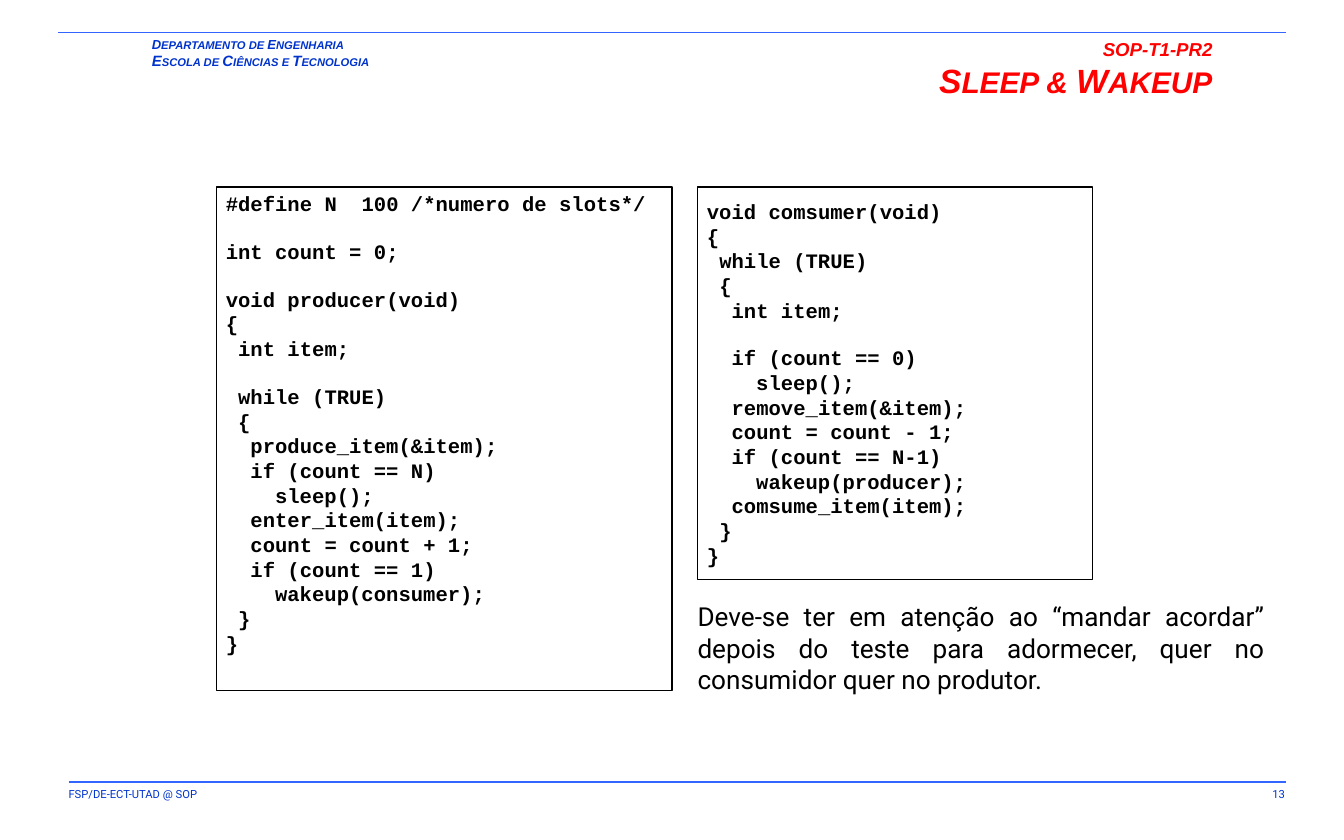
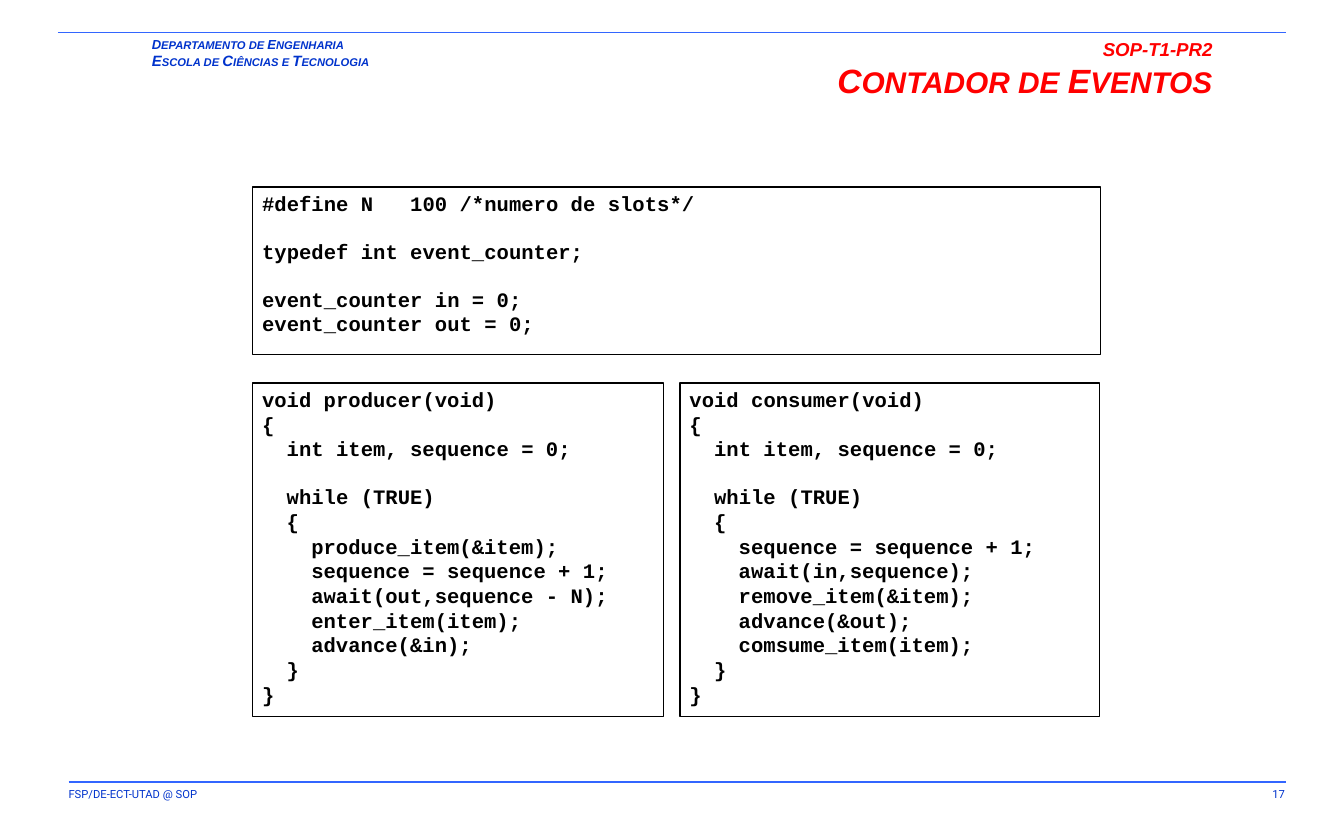
"""Two slides on process synchronisation: sleep and wakeup, and event counters."""
from dataclasses import dataclass
from itertools import groupby

from lxml.etree import SubElement
from pptx import Presentation
from pptx.dml.color import RGBColor
from pptx.enum.shapes import MSO_CONNECTOR as Connector, MSO_SHAPE as Shape
from pptx.enum.text import MSO_ANCHOR as Anchor, PP_ALIGN as Align
from pptx.oxml.ns import qn
from pptx.util import Pt

SCALE = 9144
BLUE, LINE_BLUE, RED, BLACK = "0033CC", "3366FF", "FF0000", "000000"
SANS, BODY, MONO = "Arial", "Roboto", "Courier New"
LINE_WIDTH = 0.75
CODE_SIZE = 11
CODE_LINE = 12.46
CODE_CHARACTER = 6.6
WIDE_INSET, NARROW_INSET = (8, 4), (7, 3)


@dataclass(frozen=True)
class Box:
    left: int
    top: int
    width: int
    height: int


@dataclass(frozen=True)
class Rule:
    left: int
    right: int
    y: int


@dataclass(frozen=True)
class CodePanel:
    box: Box
    code: str
    anchor: Anchor = Anchor.TOP


@dataclass(frozen=True)
class Page:
    number: int
    title: str
    panels: tuple[CodePanel, ...]
    note: str = ""


RULES = (Rule(43, 957, 24), Rule(51, 957, 582))
DEPARTMENT_BOX = Box(106, 24, 260, 32)
TITLE_BOX = Box(335, 24, 575, 45)
FOOTER_BOX = Box(43, 582, 465, 20)
NUMBER_BOX = Box(839, 582, 125, 21)
NOTE_BOX = Box(512, 444, 436, 78)

SLEEP_PRODUCER = """\
#define N  100 /*numero de slots*/

int count = 0;

void producer(void)
{
 int item;

 while (TRUE)
 {
  produce_item(&item);
  if (count == N)
    sleep();
  enter_item(item);
  count = count + 1;
  if (count == 1)
    wakeup(consumer);
 }
}"""

SLEEP_CONSUMER = """\
void comsumer(void)
{
 while (TRUE)
 {
  int item;

  if (count == 0)
    sleep();
  remove_item(&item);
  count = count - 1;
  if (count == N-1)
    wakeup(producer);
  comsume_item(item);
 }
}"""

COUNTER_DECLARATIONS = """\
#define N   100 /*numero de slots*/

typedef int event_counter;

event_counter in = 0;
event_counter out = 0;"""

COUNTER_PRODUCER = """\
void producer(void)
{
  int item, sequence = 0;

  while (TRUE)
  {
    produce_item(&item);
    sequence = sequence + 1;
    await(out,sequence - N);
    enter_item(item);
    advance(&in);
  }
}"""

COUNTER_CONSUMER = """\
void consumer(void)
{
  int item, sequence = 0;

  while (TRUE)
  {
    sequence = sequence + 1;
    await(in,sequence);
    remove_item(&item);
    advance(&out);
    comsume_item(item);
  }
}"""

PAGES = (
    Page(13, "Sleep & Wakeup", (
        CodePanel(Box(161, 139, 339, 375), SLEEP_PRODUCER),
        CodePanel(Box(519, 139, 294, 292), SLEEP_CONSUMER, Anchor.MIDDLE),
    ), "Deve-se ter em atenção ao “mandar acordar” depois do teste para "
       "adormecer, quer no consumidor quer no produtor."),
    Page(17, "Contador de Eventos", (
        CodePanel(Box(188, 285, 306, 248), COUNTER_PRODUCER),
        CodePanel(Box(506, 285, 312, 248), COUNTER_CONSUMER),
        CodePanel(Box(188, 139, 631, 125), COUNTER_DECLARATIONS),
    )),
)


def px(length: int) -> int:
    """Turn a length in px into EMU."""
    return length * SCALE


def place(box: Box) -> tuple[int, ...]:
    """Give the left, top, width and height of a box in EMU."""
    return tuple(px(length) for length in (box.left, box.top, box.width, box.height))


def colour(value: str) -> RGBColor:
    """Turn a hex string into a colour."""
    return RGBColor.from_string(value)


def write(paragraph, text: str, *, font: str, size: float, color: str,
          bold: bool = False, italic: bool = False) -> None:
    """Add a formatted run to a paragraph."""
    run = paragraph.add_run()
    run.text = text
    run.font.name = font
    run.font.size = Pt(size)
    run.font.color.rgb = colour(color)
    run.font.bold = bold
    run.font.italic = italic


def write_small_caps(paragraph, text: str, large: float, small: float, color: str) -> None:
    """Write text in capitals, larger where it already has a capital."""
    for is_capital, letters in groupby(text, str.isupper):
        write(paragraph, "".join(letters).upper(), font=SANS,
              size=large if is_capital else small, color=color, bold=True, italic=True)


def prepare_frame(shape, inset: tuple[int, int], anchor: Anchor = Anchor.TOP):
    """Set the wrapping, margins and anchor of a shape's text."""
    frame = shape.text_frame
    frame.word_wrap = True
    frame.margin_left = frame.margin_right = px(inset[0])
    frame.margin_top = frame.margin_bottom = px(inset[1])
    frame.vertical_anchor = anchor
    return frame


def add_text_box(slide, box: Box, inset: tuple[int, int], align: Align = Align.LEFT):
    """Add an empty text box and return its text frame."""
    frame = prepare_frame(slide.shapes.add_textbox(*place(box)), inset)
    frame.paragraphs[0].alignment = align
    return frame


def add_rule(slide, rule: Rule) -> None:
    """Draw a horizontal line across the slide."""
    connector = slide.shapes.add_connector(
        Connector.STRAIGHT, px(rule.left), px(rule.y), px(rule.right), px(rule.y))
    connector.line.color.rgb = colour(LINE_BLUE)
    connector.line.width = Pt(LINE_WIDTH)
    SubElement(connector._element.spPr, qn("a:effectLst"))


def add_frame(slide, number: int) -> None:
    """Draw the lines, department name and footer of a slide."""
    for text, box, align in (("FSP/DE-ECT-UTAD @ SOP", FOOTER_BOX, Align.LEFT),
                             (str(number), NUMBER_BOX, Align.RIGHT)):
        frame = add_text_box(slide, box, WIDE_INSET, align)
        write(frame.paragraphs[0], text, font=BODY, size=6, color=BLUE)
    department = add_text_box(slide, DEPARTMENT_BOX, NARROW_INSET)
    write_small_caps(department.paragraphs[0], "Departamento de Engenharia", 7, 6, BLUE)
    write_small_caps(department.add_paragraph(), "Escola de Ciências e Tecnologia", 8, 6, BLUE)
    for rule in RULES:
        add_rule(slide, rule)


def add_title(slide, title: str) -> None:
    """Write the course code with the slide title below it."""
    paragraph = add_text_box(slide, TITLE_BOX, WIDE_INSET, Align.RIGHT).paragraphs[0]
    write(paragraph, "SOP-T1-PR2", font=SANS, size=10, color=RED, bold=True, italic=True)
    paragraph.add_line_break()
    write_small_caps(paragraph, title, 18, 16, RED)


def add_code_panel(slide, panel: CodePanel) -> None:
    """Draw an outlined panel of code, with indents and gaps as paragraph format."""
    shape = slide.shapes.add_shape(Shape.RECTANGLE, *place(panel.box))
    shape.shadow.inherit = False
    shape.fill.background()
    shape.line.color.rgb = colour(BLACK)
    shape.line.width = Pt(LINE_WIDTH)
    frame = prepare_frame(shape, NARROW_INSET, panel.anchor)
    paragraph = frame.paragraphs[0]
    for block_index, block in enumerate(panel.code.split("\n\n")):
        for line_index, line in enumerate(block.splitlines()):
            if block_index or line_index:
                paragraph = frame.add_paragraph()
            if block_index and not line_index:
                paragraph.space_before = Pt(CODE_LINE)
            paragraph.alignment = Align.LEFT
            code = line.lstrip()
            indent = Pt((len(line) - len(code)) * CODE_CHARACTER)
            paragraph._p.get_or_add_pPr().set("marL", str(indent))
            write(paragraph, code, font=MONO, size=CODE_SIZE, color=BLACK, bold=True)


def add_page(presentation, page: Page) -> None:
    """Add one complete slide."""
    slide = presentation.slides.add_slide(presentation.slide_layouts[6])
    add_frame(slide, page.number)
    add_title(slide, page.title)
    for panel in page.panels:
        add_code_panel(slide, panel)
    if page.note:
        frame = add_text_box(slide, NOTE_BOX, NARROW_INSET, Align.JUSTIFY)
        write(frame.paragraphs[0], page.note, font=BODY, size=14, color=BLACK)


def main() -> None:
    """Build and save the presentation."""
    presentation = Presentation()
    presentation.slide_width, presentation.slide_height = px(1000), px(625)
    for page in PAGES:
        add_page(presentation, page)
    presentation.save("out.pptx")


if __name__ == "__main__":
    main()
